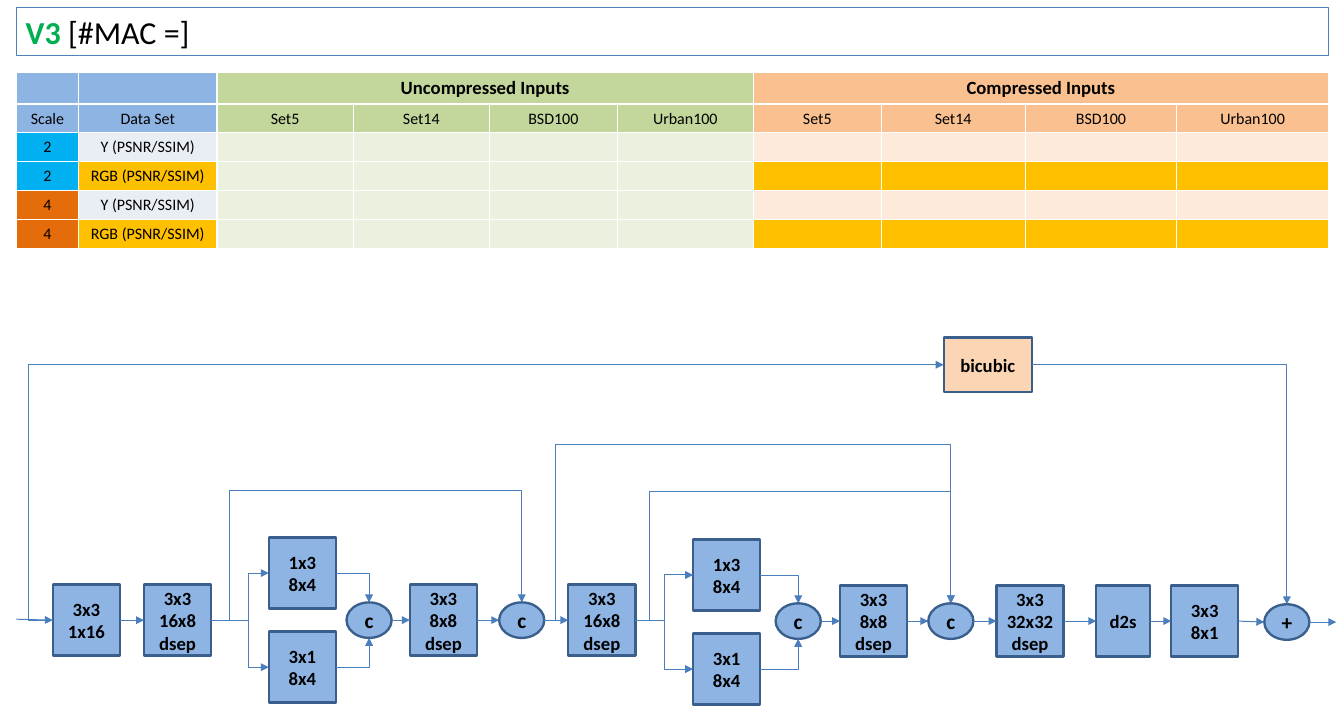
"""Build the V3 network slide: a results table above a block diagram."""
from dataclasses import dataclass
from typing import Optional

import lxml.etree
import pptx
import pptx.dml.color
import pptx.enum.shapes
import pptx.enum.text
import pptx.oxml.ns
import pptx.util

RGB = pptx.dml.color.RGBColor
SHAPE = pptx.enum.shapes.MSO_SHAPE
CONNECTOR = pptx.enum.shapes.MSO_CONNECTOR
MIDDLE = pptx.enum.text.MSO_ANCHOR.MIDDLE
CENTER = pptx.enum.text.PP_ALIGN.CENTER
qn = pptx.oxml.ns.qn

BLACK = RGB(0x00, 0x00, 0x00)
GREEN = RGB(0x00, 0xB0, 0x50)
BLUE = RGB(0x8E, 0xB4, 0xE3)
OUTLINE = RGB(0x3A, 0x5F, 0x8C)
WIRE = RGB(0x4B, 0x7E, 0xBC)
FRAME = RGB(0x4F, 0x81, 0xBD)
PEACH = RGB(0xFC, 0xD5, 0xB5)
OLIVE = RGB(0xC3, 0xD6, 0x9B)
PALE_OLIVE = RGB(0xEB, 0xF1, 0xDE)
ORANGE = RGB(0xFA, 0xC0, 0x90)
PALE_ORANGE = RGB(0xFD, 0xEA, 0xDA)
CYAN = RGB(0x00, 0xB0, 0xF0)
RUST = RGB(0xE4, 0x6C, 0x0A)
GOLD = RGB(0xFF, 0xC0, 0x00)
MIST = RGB(0xE9, 0xED, 0xF4)

FONT = "Calibri"
COLUMNS, ROWS = 140, 75
UNIT = pptx.util.Inches(0.1)
MAIN, MAIN_RIGHT = 64.6, 64.7


def grid(cells: float) -> int:
    """Turn a count of grid cells into a length."""
    return round(cells * UNIT)


@dataclass(frozen=True)
class Node:
    """A block of the network, placed by left edge and middle row."""
    left: float
    middle: float
    text: str
    width: float = 7
    height: float = 7.4
    fill: RGB = BLUE
    kind: int = SHAPE.RECTANGLE
    size: int = 14

    @property
    def center(self) -> float:
        return self.left + self.width / 2

    @property
    def start(self) -> tuple[float, float]:
        return self.left, self.middle

    @property
    def end(self) -> tuple[float, float]:
        return self.left + self.width, self.middle

    @property
    def top(self) -> tuple[float, float]:
        return self.center, self.middle - self.height / 2

    @property
    def bottom(self) -> tuple[float, float]:
        return self.center, self.middle + self.height / 2


@dataclass(frozen=True)
class Link:
    """An arrow; its bends are given by the column and row where it turns."""
    begin: tuple[float, float]
    end: tuple[float, float]
    geometry: str = "line"
    turn_column: Optional[float] = None
    turn_row: Optional[float] = None


def operator(left: float, middle: float, text: str = "c") -> Node:
    """Describe a round joining node."""
    return Node(left, middle, text, 4.7, 3.7, kind=SHAPE.OVAL, size=16)


def style(paragraph, size: float, bold: bool) -> None:
    """Centre a paragraph and format its runs."""
    paragraph.alignment = CENTER
    for span in paragraph.runs:
        span.font.name, span.font.size = FONT, pptx.util.Pt(size)
        span.font.bold, span.font.color.rgb = bold, BLACK


def draw_node(page, node: Node) -> None:
    """Draw one block with its label."""
    box = page.shapes.add_shape(node.kind, grid(node.left), grid(node.middle - node.height / 2),
                                grid(node.width), grid(node.height))
    box.shadow.inherit = False
    box.fill.solid()
    box.fill.fore_color.rgb = node.fill
    box.line.color.rgb, box.line.width = OUTLINE, pptx.util.Pt(1.75)
    box.text_frame.text = node.text
    box.text_frame.vertical_anchor = MIDDLE
    for paragraph in box.text_frame.paragraphs:
        style(paragraph, node.size, True)


def draw_link(page, link: Link) -> None:
    """Draw one straight or bent arrow."""
    (x1, y1), (x2, y2) = link.begin, link.end
    kind = CONNECTOR.STRAIGHT if link.geometry == "line" else CONNECTOR.ELBOW
    wire = page.shapes.add_connector(kind, *map(grid, (x1, y1, x2, y2)))
    wire.line.color.rgb, wire.line.width = WIRE, pptx.util.Pt(0.75)
    properties = wire._element.spPr
    lxml.etree.SubElement(properties.find(qn("a:ln")), qn("a:tailEnd"), type="triangle")
    lxml.etree.SubElement(properties, qn("a:effectLst"))
    shape = properties.find(qn("a:prstGeom"))
    shape.set("prst", link.geometry)
    turns = ((link.turn_column, x1, x2), (link.turn_row, y1, y2))
    for number, (turn, first, last) in enumerate(turns, 1):
        if turn is not None:
            share = round(100000 * (turn - first) / (last - first))
            lxml.etree.SubElement(shape.find(qn("a:avLst")), qn("a:gd"),
                                  name=f"adj{number}", fmla=f"val {share}")


def draw_title(page) -> None:
    """Draw the framed title."""
    box = page.shapes.add_textbox(*map(grid, (1.7, 0.8, 136.7, 5)))
    box.line.color.rgb, box.line.width = FRAME, pptx.util.Pt(0.75)
    box.text_frame.word_wrap = True
    paragraph = box.text_frame.paragraphs[0]
    for text, color, bold in (("V3", GREEN, True), (" [#MAC =]", BLACK, False)):
        span = paragraph.add_run()
        span.text = text
        span.font.name, span.font.size = FONT, pptx.util.Pt(24)
        span.font.bold, span.font.color.rgb = bold, color


def draw_table(page) -> None:
    """Draw the results table."""
    sets = ["Set5", "Set14", "BSD100", "Urban100"]
    texts = [["", "", "Uncompressed Inputs", "", "", "", "Compressed Inputs", "", "", ""],
             ["Scale", "Data Set"] + sets * 2]
    fills = [[BLUE] * 2 + [OLIVE] * 4 + [ORANGE] * 4] * 2
    for scale, scale_fill in (("2", CYAN), ("4", RUST)):
        for name, name_fill, fill in (("Y", MIST, PALE_ORANGE), ("RGB", GOLD, GOLD)):
            texts.append([scale, f"{name} (PSNR/SSIM)"] + [""] * 8)
            fills.append([scale_fill, name_fill] + [PALE_OLIVE] * 4 + [fill] * 4)
    widths = (6.5, 14.4, 14.2, 14.2, 13.3, 14.2, 13.3, 15, 15.8, 15.8)
    heights = (3.3,) + (3,) * 5
    table = page.shapes.add_table(len(heights), len(widths), grid(1.7), grid(7.5),
                                  grid(sum(widths)), grid(sum(heights))).table
    table.horz_banding = False
    for column, width in zip(table.columns, widths):
        column.width = grid(width)
    for row, height in zip(table.rows, heights):
        row.height = grid(height)
    for first in (2, 6):
        table.cell(0, first).merge(table.cell(0, first + 3))
    for r, (row_texts, row_fills) in enumerate(zip(texts, fills)):
        for c, (text, fill) in enumerate(zip(row_texts, row_fills)):
            cell = table.cell(r, c)
            cell.fill.solid()
            cell.fill.fore_color.rgb = fill
            cell.vertical_anchor = MIDDLE
            cell.text_frame.text = text
            paragraph = cell.text_frame.paragraphs[0]
            style(paragraph, 12 if r else 14, r == 0)
            if not text:
                lxml.etree.SubElement(paragraph._p, qn("a:endParaRPr"), sz="1200")


def draw_network(page) -> None:
    """Draw the blocks and the arrows between them."""
    entry, squeeze = Node(5.5, MAIN, "3x3\n1x16"), Node(15, MAIN, "3x3\n16x8\ndsep")
    wide, tall = Node(28, 59.7, "1x3\n8x4"), Node(28, 69.5, "3x1\n8x4")
    join, mix = operator(36.1, MAIN), Node(42.7, MAIN, "3x3\n8x8\ndsep")
    skip, squeeze_2 = operator(52, MAIN), Node(59.2, MAIN, "3x3\n16x8\ndsep")
    wide_2, tall_2 = Node(72.2, 59.9, "1x3\n8x4"), Node(72.2, 69.7, "3x1\n8x4")
    join_2, mix_2 = operator(80.8, MAIN_RIGHT), Node(87.5, MAIN_RIGHT, "3x3\n8x8\ndsep")
    skip_2, expand = operator(96.7, MAIN_RIGHT), Node(103.8, MAIN_RIGHT, "3x3\n32x32\ndsep")
    shuffle = Node(114.2, MAIN_RIGHT, "d2s", width=5.6)
    final, add = Node(122, MAIN_RIGHT, "3x3\n8x1"), operator(131.7, 64.8, "+")
    bicubic = Node(98.3, 38, "bicubic", 9.2, 5.7, PEACH)

    chains = ((entry, squeeze), (join, mix, skip, squeeze_2),
              (join_2, mix_2, skip_2, expand, shuffle, final, add))
    links = [Link(a.end, b.start) for chain in chains for a, b in zip(chain, chain[1:])]
    links += [Link((1.7, 64.5), entry.start), Link(add.end, (139.2, add.middle)),
              Link(entry.start, bicubic.start, "bentConnector3", 3),
              Link(bicubic.end, add.top, "bentConnector2")]
    for source, upper, lower, target, turn in ((squeeze, wide, tall, join, 25.9),
                                               (squeeze_2, wide_2, tall_2, join_2, 69.2)):
        links += [Link(source.end, branch.start, "bentConnector3", turn)
                  for branch in (upper, lower)]
        links += [Link(upper.end, target.top, "bentConnector2"),
                  Link(lower.end, target.bottom, "bentConnector2")]
    for source, target, column, row in ((squeeze, skip, 23.9, 51.1), (squeeze_2, skip_2, 67.6, 51.2),
                                        (skip, skip_2, 57.9, 46.3)):
        links.append(Link(source.end, target.top, "bentConnector4", column, row))

    for node in (entry, squeeze, wide, tall, join, mix, skip, squeeze_2, wide_2, tall_2, join_2,
                 mix_2, skip_2, expand, shuffle, final, add, bicubic):
        draw_node(page, node)
    for link in links:
        draw_link(page, link)


deck = pptx.Presentation()
deck.slide_width, deck.slide_height = grid(COLUMNS), grid(ROWS)
slide = deck.slides.add_slide(deck.slide_layouts[6])
draw_title(slide)
draw_table(slide)
draw_network(slide)
deck.save("out.pptx")
